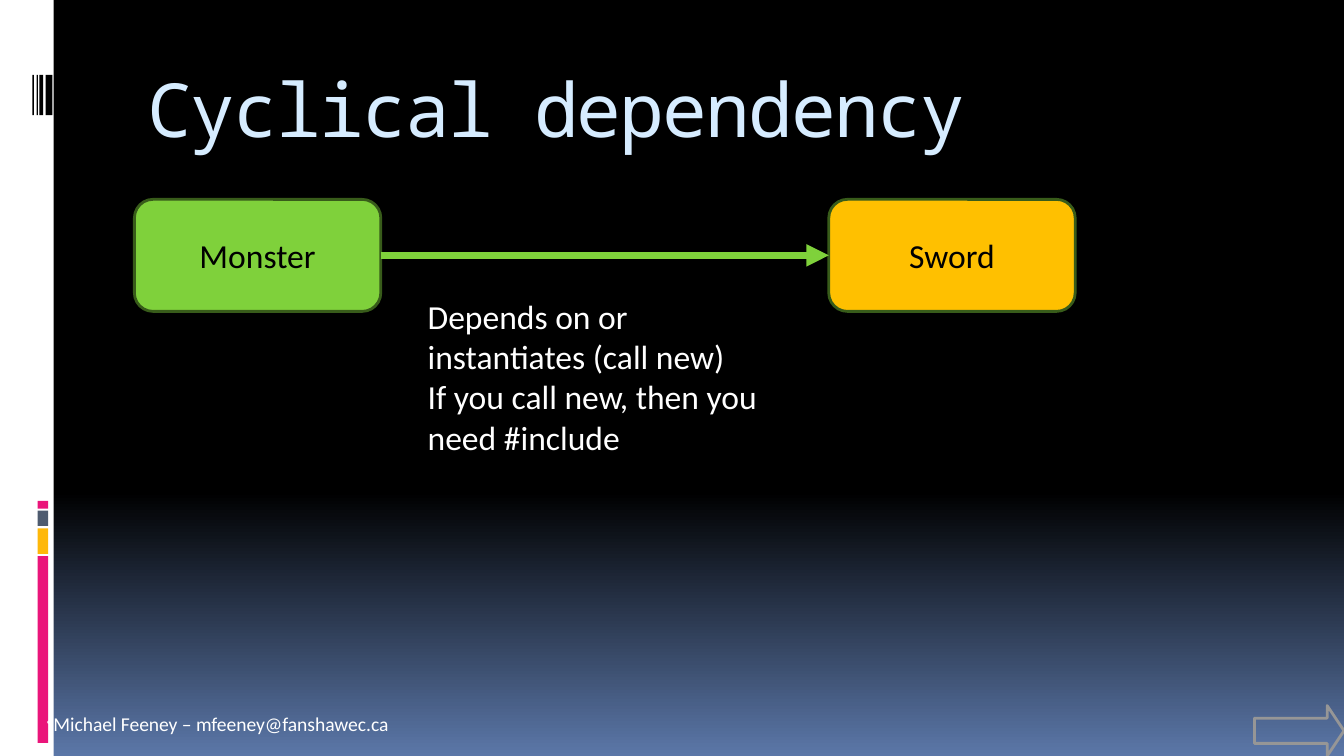
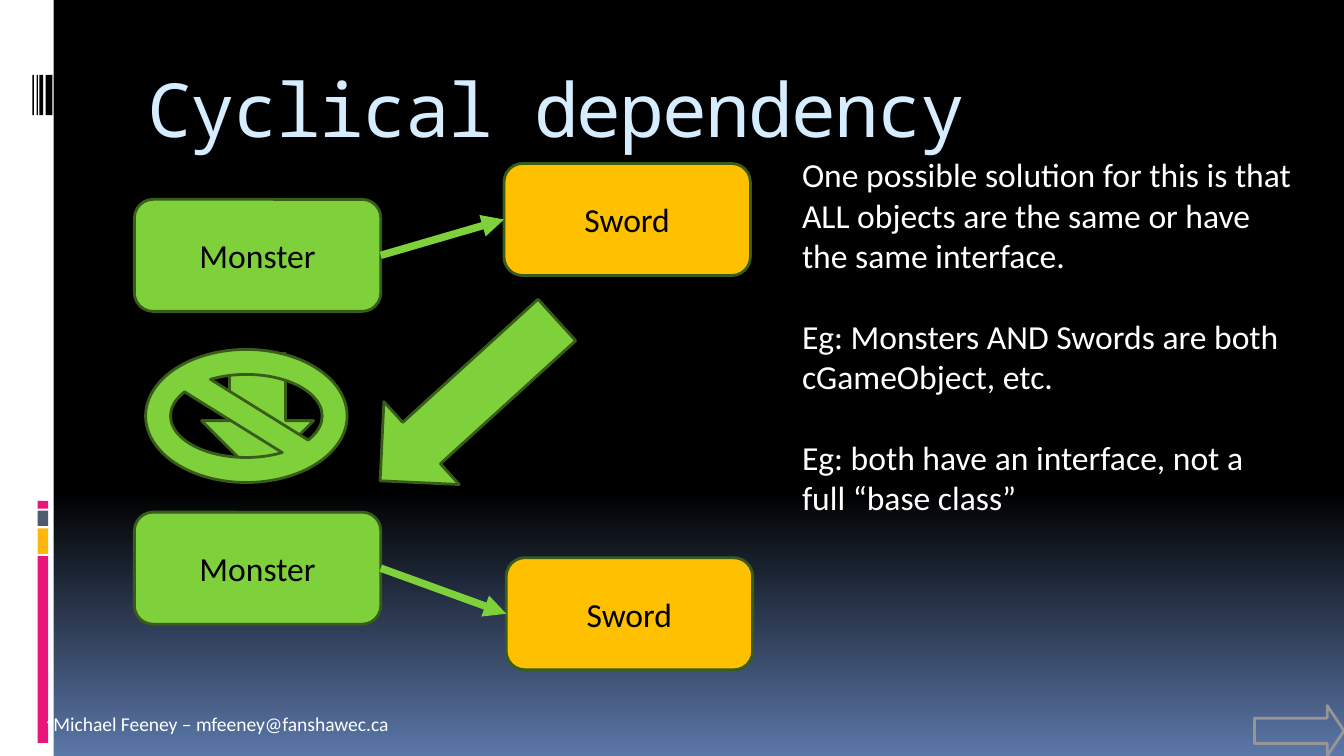
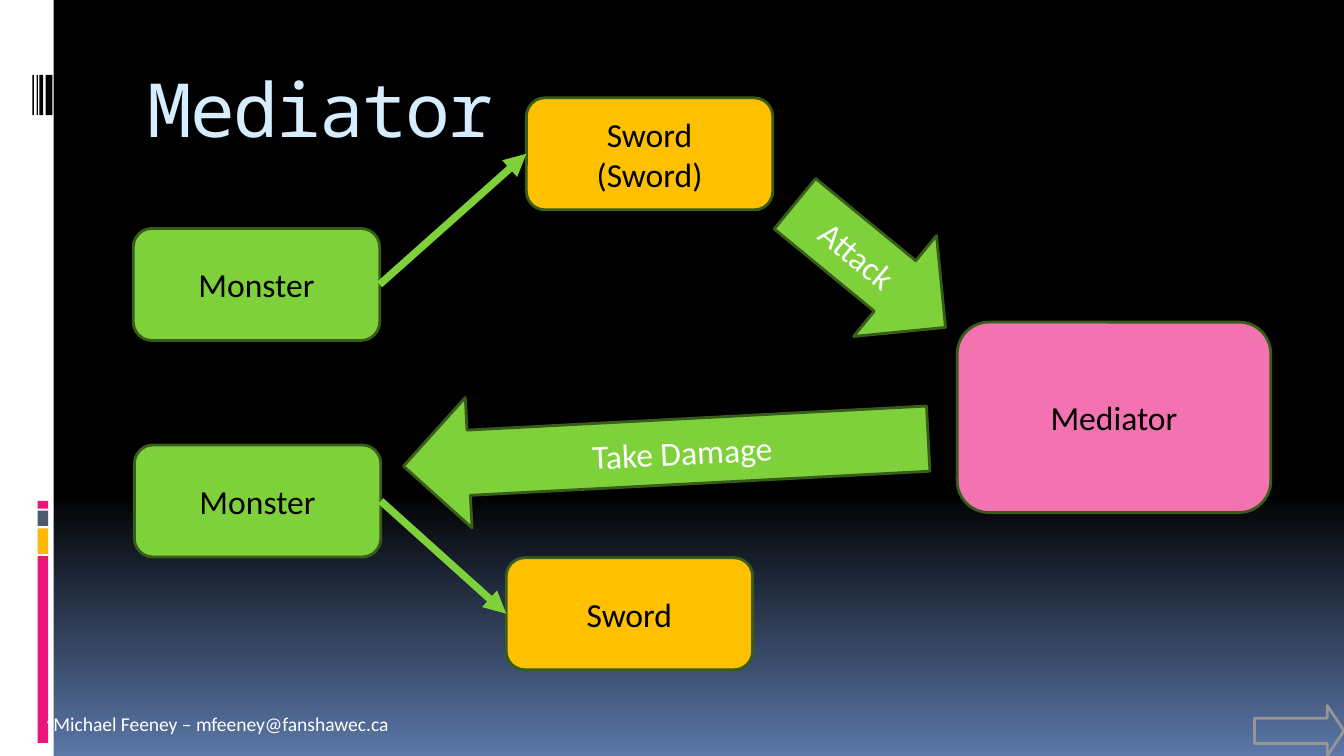
from lxml.etree import SubElement
from pptx import Presentation
from pptx.dml.color import RGBColor
from pptx.enum.shapes import MSO_CONNECTOR, MSO_SHAPE
from pptx.enum.text import MSO_ANCHOR, MSO_AUTO_SIZE, PP_ALIGN
from pptx.oxml.ns import qn
from pptx.util import Pt

COLORS = {
    "black": "000000", "white": "FFFFFF", "sky": "5B77A8", "title": "D6ECFF",
    "green": "7FD13B", "dark green": "385C1A", "amber": "FFC000", "pink": "F273AF",
    "magenta": "EA157A", "gold": "FEB80A", "slate": "4E5B6F", "grey": "969696",
}
TITLE_FONT = {"name": "Noto Sans Mono", "size": Pt(40)}
BODY_FONT = {"name": "Calibri", "size": Pt(18)}
FOOTER_FONT = {"name": "Calibri", "size": Pt(10.5)}
BOX_WIDTH, BOX_HEIGHT = 132, 60


def write_text(frame, lines, font_format, color, align=PP_ALIGN.LEFT, gap=0):
    frame.word_wrap = True
    for index, line in enumerate(lines):
        paragraph = frame.add_paragraph() if index else frame.paragraphs[0]
        paragraph.alignment = align
        if index and gap:
            paragraph.space_before = Pt(gap)
        run = paragraph.add_run()
        run.text = line
        for name, value in font_format.items():
            setattr(run.font, name, value)
        run.font.color.rgb = RGBColor.from_string(COLORS[color])


def add_figure(slide, kind, place, fill=None, line="dark green", lines=(), text_color="black"):
    shape = slide.shapes.add_shape(kind, *[Pt(value) for value in place])
    shape.shadow.inherit = False
    if fill:
        shape.fill.solid()
        shape.fill.fore_color.rgb = RGBColor.from_string(COLORS[fill])
    else:
        shape.fill.background()
    if line:
        shape.line.color.rgb = RGBColor.from_string(COLORS[line])
        shape.line.width = Pt(1.5)
    else:
        shape.line.fill.background()
    if lines:
        shape.text_frame.vertical_anchor = MSO_ANCHOR.MIDDLE
        write_text(shape.text_frame, lines, BODY_FONT, text_color, PP_ALIGN.CENTER)
    return shape


presentation = Presentation()
presentation.slide_width, presentation.slide_height = Pt(720), Pt(405)
layout = presentation.slide_layouts[5]

# Layout: only the title placeholder, on a gradient from black to blue
for placeholder in list(layout.placeholders):
    if placeholder.placeholder_format.idx != 0:
        placeholder._element.getparent().remove(placeholder._element)
background = layout.background.fill
background.gradient()
background.gradient_angle = 270
for stop, (position, color) in zip(background.gradient_stops, [(0.65, "black"), (1, "sky")]):
    stop.position = position
    stop.color.rgb = RGBColor.from_string(COLORS[color])

# Slides with their titles and corner arrows
slides = []
for title, title_height in [("Cyclical dependency", 76.3), ("Cyclical dependency", 76.3),
                            ("Mediator", 60)]:
    slide = presentation.slides.add_slide(layout)
    slides.append(slide)
    shape = slide.shapes.title
    place = {"left": 72, "top": 30, "width": 612, "height": title_height}
    for name, value in place.items():
        setattr(shape, name, Pt(value))
    shape.text_frame.vertical_anchor = MSO_ANCHOR.TOP
    shape.text_frame.auto_size = MSO_AUTO_SIZE.NONE
    write_text(shape.text_frame, [title], TITLE_FONT, "title")
    shape.text_frame.paragraphs[0].runs[0].font._element.set("spc", "-100")
    corner_arrow = add_figure(slide, MSO_SHAPE.RIGHT_ARROW, (672, 378, 48, 27), line="grey")
    corner_arrow.adjustments[1] = 0.333
cycle_slide, solution_slide, mediator_slide = slides

# Side band, colour bars, barcode and footer, moved to the layout
bands = [
    (0, 0, 28.8, 405, "white"),
    (20.2, 298, 5.6, 100, "magenta"),
    (20.2, 283, 5.6, 13.7, "gold"),
    (20.2, 273.6, 5.6, 8.2, "slate"),
    (20.2, 268.3, 5.6, 4.3, "magenta"),
]
for left, width in [(24.5, 3.6), (21.1, 2), (19.6, 0.7), (17.4, 0.8)]:
    bands.append((left, 40.2, width, 21.6, "black"))
decorations = [add_figure(cycle_slide, MSO_SHAPE.RECTANGLE, place, color, line=None)
               for *place, color in bands]
footer = cycle_slide.shapes.add_textbox(Pt(18), Pt(378), Pt(570), Pt(20))
properties = footer.text_frame.paragraphs[0]._p.get_or_add_pPr()
properties.set("marL", str(Pt(3.6)))
properties.set("indent", str(-Pt(3.6)))
SubElement(properties, qn("a:buSzPct")).set("val", "70000")
SubElement(properties, qn("a:buChar")).set("char", "•")
write_text(footer.text_frame, ["Michael Feeney – mfeeney@fanshawec.ca"], FOOTER_FONT, "white")
for index, shape in enumerate(decorations + [footer]):
    layout.shapes._spTree.insert(2 + index, shape._element)

# Each Monster points to its Sword
pairs = [
    (cycle_slide, (72, 106.8), (444, 106.8), ["Sword"]),
    (solution_slide, (72, 106.8), (270, 87.6), ["Sword"]),
    (solution_slide, (72, 274.4), (271.2, 298.8), ["Sword"]),
    (mediator_slide, (71.4, 122.4), (282, 52.4), ["Sword", "(Sword)"]),
    (mediator_slide, (72, 238.4), (271.2, 298.8), ["Sword"]),
]
for slide, monster_corner, sword_corner, sword_lines in pairs:
    monster, sword = [
        add_figure(slide, MSO_SHAPE.ROUNDED_RECTANGLE, (*corner, BOX_WIDTH, BOX_HEIGHT),
                   fill, lines=lines)
        for corner, fill, lines in [(monster_corner, "green", ["Monster"]),
                                    (sword_corner, "amber", sword_lines)]
    ]
    connector = slide.shapes.add_connector(MSO_CONNECTOR.STRAIGHT, 0, 0, 0, 0)
    connector.begin_connect(monster, 3)
    connector.end_connect(sword, 1)
    connector.line.width = Pt(4)
    connector.line.color.rgb = RGBColor.from_string(COLORS["green"])
    SubElement(connector.line._get_or_add_ln(), qn("a:tailEnd")).set("type", "triangle")
    SubElement(connector._element.spPr, qn("a:effectLst"))

# Slide 2: the way down is barred, the sword's owner changes
add_figure(solution_slide, MSO_SHAPE.DOWN_ARROW, (108, 189.4, 60, 66), "green")
hand_over = add_figure(solution_slide, MSO_SHAPE.DOWN_ARROW, (221, 150.5, 60, 128), "green")
hand_over.rotation = 47.7
add_figure(solution_slide, MSO_SHAPE.NO_SYMBOL, (78, 187.2, 108, 71.3), "green")

# Explanations on slides 1 and 2
explanations = [
    (cycle_slide, (222, 154.8, 192, 94.3), 0,
     ["Depends on or instantiates (call new)", "If you call new, then you need #include"]),
    (solution_slide, (422.6, 79.2, 276.5, 203.8), 21.6,
     ["One possible solution for this is that ALL objects are the same or have the same interface.",
      "Eg: Monsters AND Swords are both cGameObject, etc.",
      "Eg: both have an interface, not a full “base class”"]),
]
for slide, place, gap, lines in explanations:
    shape = slide.shapes.add_textbox(*[Pt(value) for value in place])
    write_text(shape.text_frame, lines, BODY_FONT, "white", gap=gap)

# Slide 3: the mediator and its messages
add_figure(mediator_slide, MSO_SHAPE.ROUNDED_RECTANGLE, (512.8, 172.6, 168, 102), "pink",
           lines=["Mediator"])
messages = [
    ("Attack", (414, 107.3, 104.4, 70), 39.4, False),
    ("Take Damage", (216, 207.4, 281.5, 70), 357, True),
]
for message, place, rotation, flipped in messages:
    arrow = add_figure(mediator_slide, MSO_SHAPE.RIGHT_ARROW, place, "green",
                       lines=[message], text_color="white")
    arrow.rotation = rotation
    if flipped:
        arrow._element.spPr.xfrm.set("flipH", "1")

presentation.save("out.pptx")
